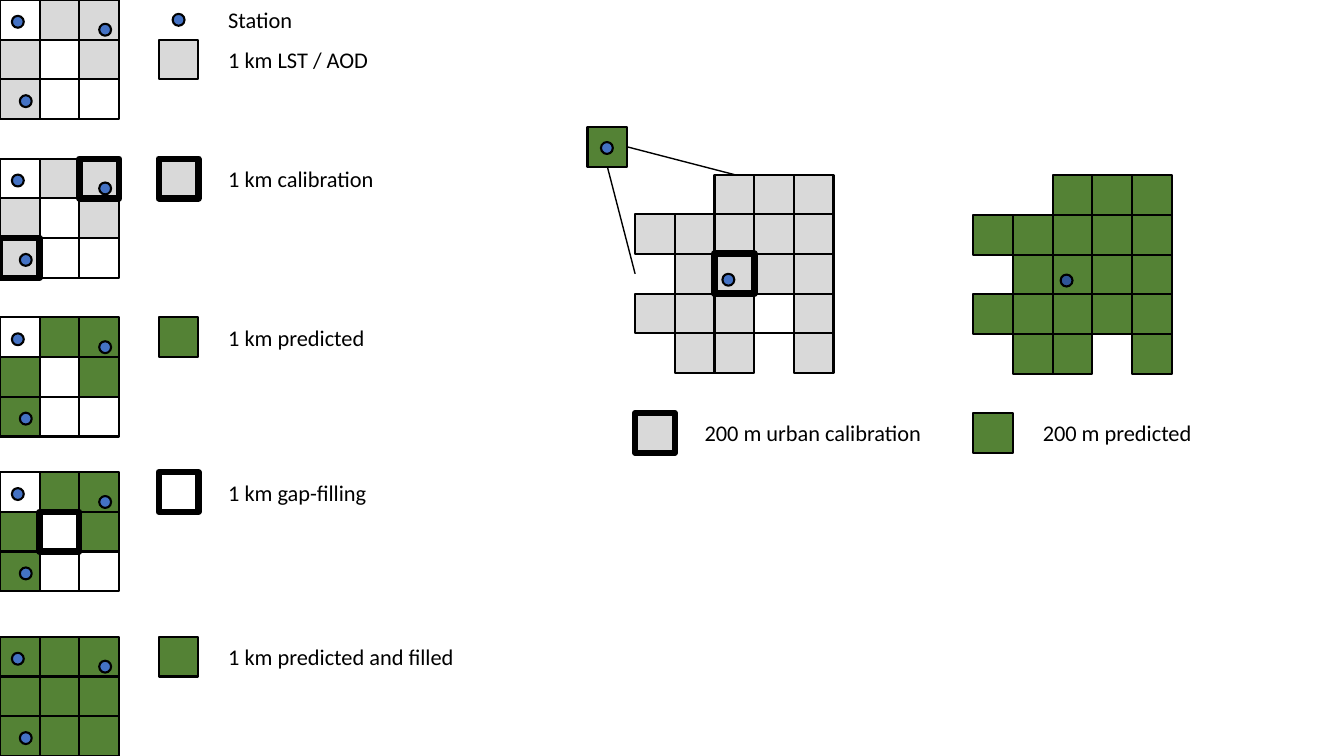
import dataclasses
import itertools
import typing

import lxml.etree
import pptx
import pptx.dml.color
import pptx.enum.shapes
import pptx.enum.text
import pptx.oxml.ns
import pptx.util

Shape = pptx.enum.shapes.MSO_SHAPE
Point = typing.Tuple[float, float]


@dataclasses.dataclass(frozen=True)
class Theme:
    """Colours, type and line widths."""
    font: str = "Calibri"
    size: float = 16
    ink: str = "000000"
    observed: str = "D9D9D9"
    empty: str = "FFFFFF"
    predicted: str = "548235"
    station: str = "4472C4"
    dark_station: str = "2F5597"
    thin: float = 1
    outline: float = 1.5
    bold: float = 4.5
    heavy: float = 5


@dataclasses.dataclass(frozen=True)
class Patch:
    """A map of unit cells; each letter of rows is a cell style."""
    left: float
    top: float
    rows: typing.Tuple[str, ...]
    stations: typing.Tuple[Point, ...]
    station_fill: str


@dataclasses.dataclass(frozen=True)
class Key:
    """A legend entry; no style means a station dot."""
    left: float
    top: float
    style: str
    label: str
    width: float


THEME = Theme()
# One grid cell is one centimetre on the slide.
CELL = pptx.util.Cm(1)
DOT = 0.3
LABEL_HEIGHT = 0.94
LABEL_SHIFT = 1.5

STYLES = {
    "g": (THEME.observed, THEME.outline),
    "w": (THEME.empty, THEME.outline),
    "p": (THEME.predicted, THEME.outline),
    "G": (THEME.observed, THEME.bold),
    "W": (THEME.empty, THEME.bold),
    "C": (THEME.observed, THEME.heavy),
}

KEY_LEFT, URBAN_LEFT, FINE_LEFT = 4, 16, 24.52
MAP_TOP, KEY_TOP = 4.4, 10.41
STAGE_TOPS = (0, 4, 8, 11.9, 16.05)
STAGE_ROWS = (
    ("wgg", "gwg", "gww"),
    ("wgG", "gwg", "Gww"),
    ("wpp", "pwp", "pww"),
    ("wpp", "pWp", "pww"),
    ("ppp", "ppp", "ppp"),
)
STAGE_STATIONS = ((0.3, 0.4), (2.5, 0.6), (0.5, 2.4))
URBAN_STATION = ((2.2, 2.5),)

PATCHES = [
    Patch(0, top, rows, STAGE_STATIONS, THEME.station)
    for top, rows in zip(STAGE_TOPS, STAGE_ROWS)
] + [
    Patch(14.8, 3.2, ("p",), ((0.34, 0.38),), THEME.station),
    Patch(URBAN_LEFT, MAP_TOP, ("..ggg", "ggggg", ".gCgg", "gggwg", ".gg.g"),
          URBAN_STATION, THEME.station),
    Patch(FINE_LEFT, MAP_TOP + 0.02, ("..ppp", "ppppp", ".pppp", "ppppp", ".pp.p"),
          URBAN_STATION, THEME.dark_station),
]

KEYS = [
    Key(KEY_LEFT, 0, "", "Station", 2.16),
    Key(KEY_LEFT, 1, "g", "1 km LST / AOD", 4.09),
    Key(KEY_LEFT, STAGE_TOPS[1], "G", "1 km calibration", 4.29),
    Key(KEY_LEFT, STAGE_TOPS[2], "p", "1 km predicted", 3.99),
    Key(KEY_LEFT, STAGE_TOPS[3], "W", "1 km gap-filling", 4.04),
    Key(KEY_LEFT, STAGE_TOPS[4], "p", "1 km predicted and filled", 6.25),
    Key(URBAN_LEFT, KEY_TOP, "G", "200 m urban calibration", 6.02),
    Key(FINE_LEFT, KEY_TOP, "p", "200 m predicted", 4.32),
]

ZOOM_LINES = (((15.3, 4.2), (16, 6.9)), ((15.8, 3.7), (18.5, 4.4)))


def cells(*values: float) -> typing.List[int]:
    """Turn grid units into slide lengths."""
    return [round(value * CELL) for value in values]


def colour(code: str) -> pptx.dml.color.RGBColor:
    """Make a colour from its hex code."""
    return pptx.dml.color.RGBColor.from_string(code)


def draw_shape(page, kind: Shape, left: float, top: float, size: float,
               fill: str, weight: float) -> None:
    """Draw a filled, outlined shape of equal width and height."""
    shape = page.shapes.add_shape(kind, *cells(left, top, size, size))
    shape.shadow.inherit = False
    shape.fill.solid()
    shape.fill.fore_color.rgb = colour(fill)
    shape.line.color.rgb = colour(THEME.ink)
    shape.line.width = pptx.util.Pt(weight)


def draw_cell(page, left: float, top: float, style: str) -> None:
    """Draw one map cell in the given style."""
    draw_shape(page, Shape.RECTANGLE, left, top, 1, *STYLES[style])


def draw_station(page, left: float, top: float, fill: str) -> None:
    """Draw a station dot."""
    draw_shape(page, Shape.OVAL, left, top, DOT, fill, THEME.outline)


def draw_patch(page, patch: Patch) -> None:
    """Draw a map with its emphasised cells above the others."""
    spots = [(style, column, row) for row, styles in enumerate(patch.rows)
             for column, style in enumerate(styles) if style in STYLES]
    plain = [spot for spot in spots if spot[0].islower()]
    emphasised = [spot for spot in spots if spot[0].isupper()]
    for style, column, row in itertools.chain(plain, emphasised):
        draw_cell(page, patch.left + column, patch.top + row, style)
    for column, row in patch.stations:
        draw_station(page, patch.left + column, patch.top + row, patch.station_fill)


def draw_key(page, key: Key) -> None:
    """Draw a legend symbol and its label."""
    if key.style:
        draw_cell(page, key.left, key.top, key.style)
    else:
        draw_station(page, key.left + 0.35, key.top + 0.35, THEME.station)
    box = page.shapes.add_textbox(*cells(
        key.left + LABEL_SHIFT, key.top + (1 - LABEL_HEIGHT) / 2,
        key.width, LABEL_HEIGHT))
    frame = box.text_frame
    frame.word_wrap = False
    frame.auto_size = pptx.enum.text.MSO_AUTO_SIZE.SHAPE_TO_FIT_TEXT
    frame.vertical_anchor = pptx.enum.text.MSO_ANCHOR.MIDDLE
    para = frame.paragraphs[0]
    para.text = key.label
    para.font.name = THEME.font
    para.font.size = pptx.util.Pt(THEME.size)
    para.font.color.rgb = colour(THEME.ink)


def draw_zoom_line(page, start: Point, end: Point) -> None:
    """Join the enlarged cell to the urban map."""
    line = page.shapes.add_connector(
        pptx.enum.shapes.MSO_CONNECTOR.STRAIGHT, *cells(*start, *end))
    line.line.color.rgb = colour(THEME.ink)
    line.line.width = pptx.util.Pt(THEME.thin)
    lxml.etree.SubElement(line._element.spPr, pptx.oxml.ns.qn("a:effectLst"))


def main() -> None:
    """Build and save the slide."""
    deck = pptx.Presentation()
    deck.slide_width = pptx.util.Inches(13.33)
    deck.slide_height = pptx.util.Inches(7.5)
    page = deck.slides.add_slide(deck.slide_layouts[6])
    for patch in PATCHES:
        draw_patch(page, patch)
    for start, end in ZOOM_LINES:
        draw_zoom_line(page, start, end)
    for key in KEYS:
        draw_key(page, key)
    deck.save("out.pptx")


main()
